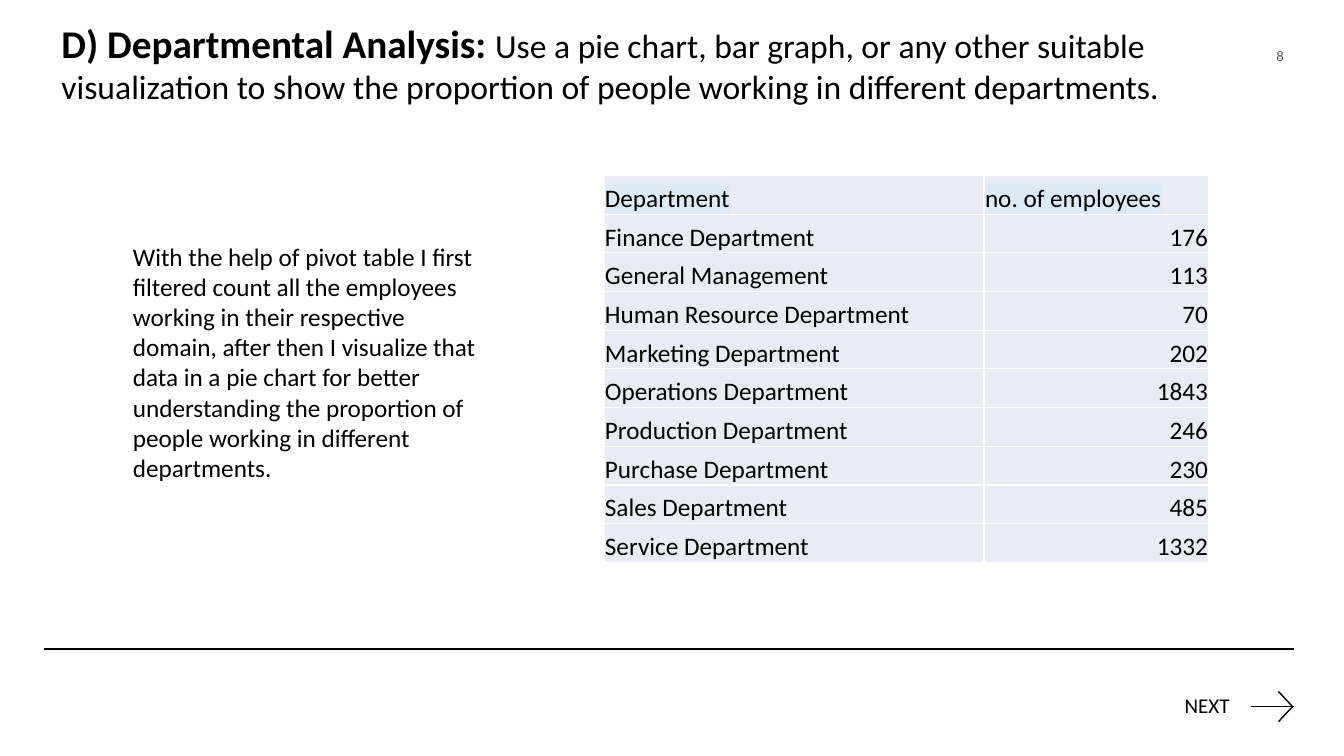
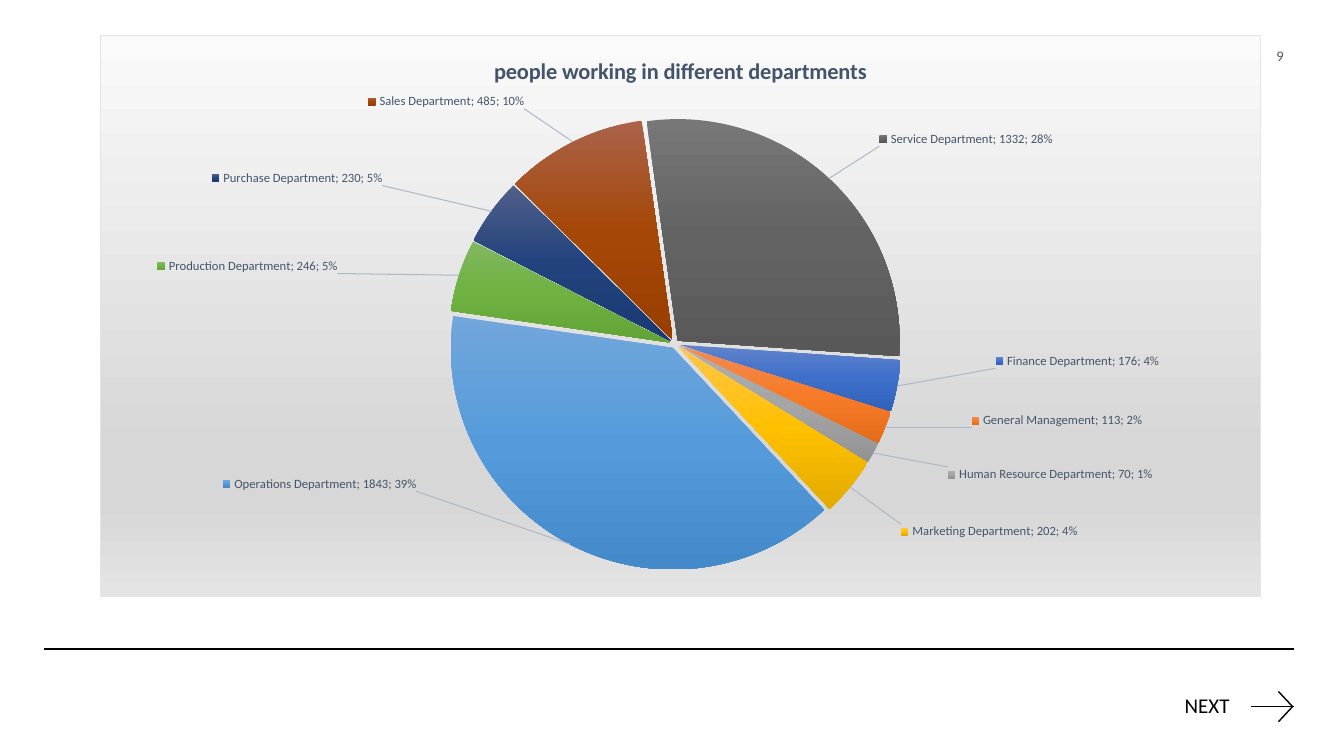
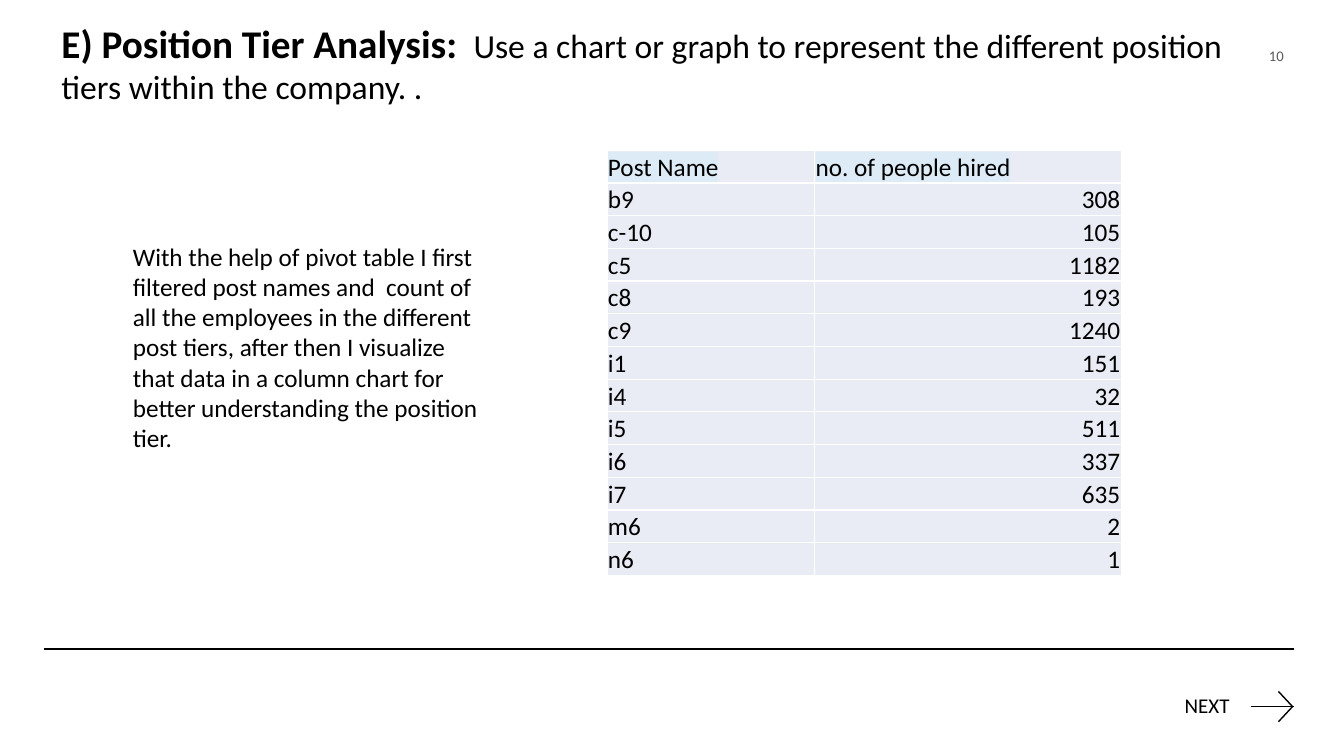
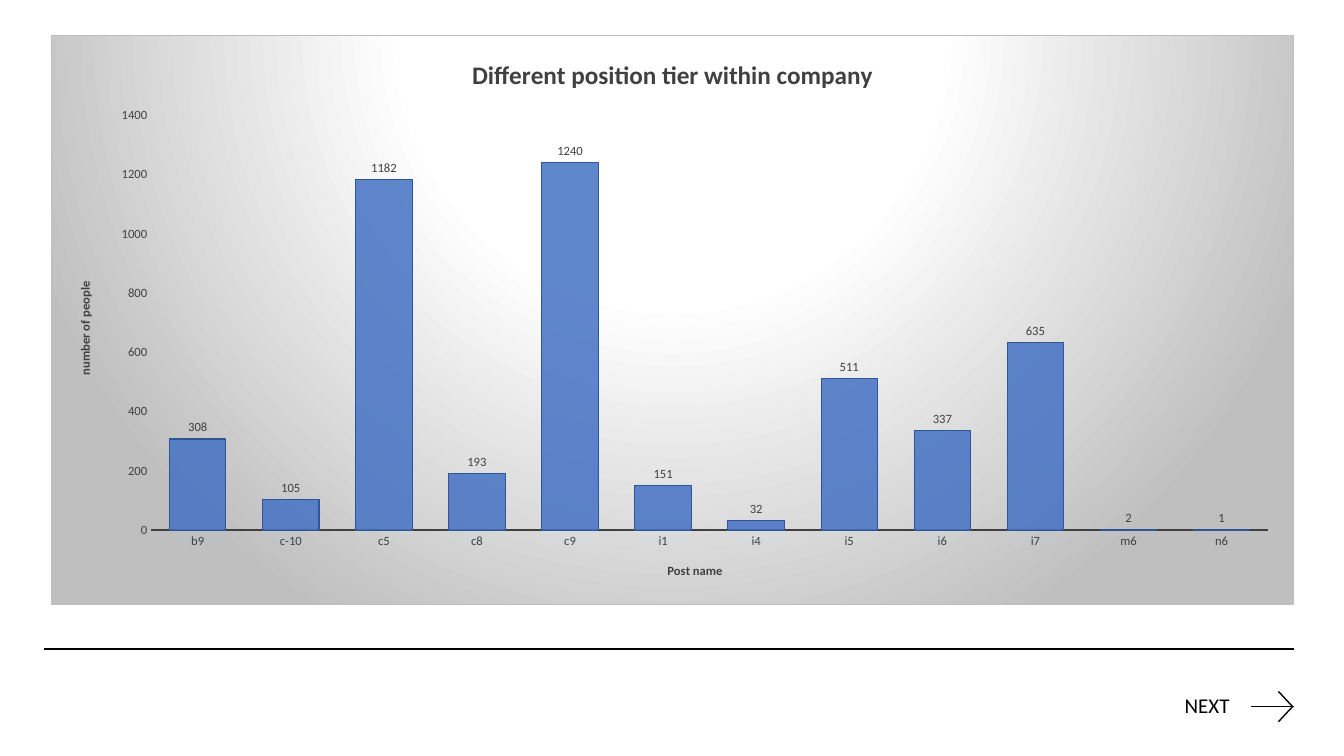
import pptx
import pptx.chart.data
import pptx.dml.color
import pptx.enum.chart
import pptx.enum.shapes
import pptx.enum.text
import pptx.oxml
import pptx.oxml.ns
import pptx.util

Inches = pptx.util.Inches
Pt = pptx.util.Pt
ALIGN = pptx.enum.text.PP_ALIGN
ANCHOR = pptx.enum.text.MSO_ANCHOR

FONT = "Calibri"
COLORS = {
    "ink": "000000", "number": "595959", "white": "FFFFFF",
    "cell": "E9EBF5", "highlight": "DDEBF7",
    "slate": "44546A", "leader": "ADB9CA", "pie_border": "E0E5EB",
    "charcoal": "404040", "bar": "4472C4", "bar_edge": "2F5597", "bar_border": "BFBFBF",
}

# Content: department, employees, slice gradient, label offset as a share of the chart
DEPARTMENTS = [
    ("Finance Department", 176, ("6183CB", "3E70CA", "3062BB"), (0.08, -0.06)),
    ("General Management", 113, ("F18C57", "F67B28", "E56C19"), (0.07, -0.03)),
    ("Human Resource Department", 70, ("AFAFAF", "A5A5A5", "939393"), (0.06, 0.02)),
    ("Marketing Department", 202, ("FFC64B", "FFC000", "E3AB00"), (0.04, 0.06)),
    ("Operations Department", 1843, ("71A6DB", "559BDB", "448ACA"), (-0.13, -0.13)),
    ("Production Department", 246, ("81B861", "6FB242", "62A336"), (-0.1, 0)),
    ("Purchase Department", 230, ("516089", "22427D", "1A3A72"), (-0.09, -0.04)),
    ("Sales Department", 485, ("AB634B", "A54707", "983E00"), (-0.04, -0.05)),
    ("Service Department", 1332, ("777777", "636363", "585858"), (0.04, -0.05)),
]
POSTS = [
    ("b9", 308), ("c-10", 105), ("c5", 1182), ("c8", 193), ("c9", 1240), ("i1", 151),
    ("i4", 32), ("i5", 511), ("i6", 337), ("i7", 635), ("m6", 2), ("n6", 1),
]


def rgb(name):
    return pptx.dml.color.RGBColor.from_string(COLORS[name])


def xml(tag, inner="", attributes=""):
    """Build one element in the drawing or chart namespace."""
    spaces = pptx.oxml.ns.nsdecls("a", "c")
    return pptx.oxml.parse_xml(f"<{tag} {spaces} {attributes}>{inner}</{tag}>")


def solid(name):
    return f'<a:solidFill><a:srgbClr val="{COLORS[name]}"/></a:solidFill>'


def gradient(stops, direction='<a:lin ang="5400000" scaled="0"/>'):
    marks = "".join(f'<a:gs pos="{place * 1000}"><a:srgbClr val="{color}"/></a:gs>'
                    for place, color in stops)
    return f'<a:gradFill rotWithShape="1"><a:gsLst>{marks}</a:gsLst>{direction}</a:gradFill>'


class Deck:
    """Holds the shared style and the slide being built."""

    def __init__(self):
        self.presentation = pptx.Presentation()
        self.presentation.slide_width = Inches(13.33)
        self.presentation.slide_height = Inches(7.5)
        self.slide = None

    def new_slide(self, number, heading=None, detail=""):
        layout = self.presentation.slide_layouts[5 if heading else 6]
        self.slide = self.presentation.slides.add_slide(layout)
        self.footer()
        if heading:
            self.title(heading, detail)
        self.text(str(number), 12.42, 0.35, 0.41, 0.4, 10.5, "number", ALIGN.RIGHT, ANCHOR.MIDDLE)

    def style(self, font, size, color="ink", bold=None):
        font.name, font.size, font.bold = FONT, Pt(size), bold
        font.color.rgb = rgb(color)

    def line(self, x1, y1, x2, y2):
        rule = self.slide.shapes.add_connector(
            pptx.enum.shapes.MSO_CONNECTOR.STRAIGHT,
            Inches(x1), Inches(y1), Inches(x2), Inches(y2))
        rule.line.color.rgb = rgb("ink")
        rule.line.width = Pt(1)
        rule._element.spPr.append(xml("a:effectLst"))

    def footer(self):
        self.line(0.44, 6.44, 12.83, 6.44)
        self.line(12.41, 7.01, 12.83, 7.01)
        for tip_y in (6.86, 7.16):
            self.line(12.68, tip_y, 12.82, 7.01)
        frame = self.text("NEXT", 11.71, 6.85, 0.83, 0.33, 15)
        frame.margin_left = frame.margin_right = Inches(0.04)
        frame.paragraphs[0].line_spacing = 0.9
        frame.paragraphs[0].space_before = Pt(6)

    def title(self, heading, detail):
        title = self.slide.shapes.title
        title.left, title.top = Inches(0.51), Inches(0.14)
        title.width, title.height = Inches(12.18), Inches(1.15)
        frame = title.text_frame
        frame.auto_size = pptx.enum.text.MSO_AUTO_SIZE.NONE
        frame.vertical_anchor = ANCHOR.TOP
        paragraph = frame.paragraphs[0]
        paragraph.alignment = ALIGN.LEFT
        for words, size, bold in ((heading, 28, True), (detail, 24, False)):
            run = paragraph.add_run()
            run.text = words
            self.style(run.font, size, bold=bold)

    def text(self, words, x, y, width, height, size=18, color="ink",
             align=ALIGN.LEFT, anchor=ANCHOR.TOP):
        box = self.slide.shapes.add_textbox(Inches(x), Inches(y), Inches(width), Inches(height))
        frame = box.text_frame
        frame.word_wrap = True
        frame.vertical_anchor = anchor
        frame.text = words
        frame.paragraphs[0].alignment = align
        self.style(frame.paragraphs[0].runs[0].font, size, color)
        return frame

    def table(self, header, records, x, y, widths, height):
        rows = [header, *records]
        table = self.slide.shapes.add_table(
            len(rows), len(widths), Inches(x), Inches(y),
            Inches(sum(widths)), Inches(height)).table
        table.first_row = table.horz_banding = False
        for column, width in zip(table.columns, widths):
            column.width = Inches(width)
        for r, values in enumerate(rows):
            table.rows[r].height = Inches(height / len(rows))
            for c, value in enumerate(values):
                self.cell(table.cell(r, c), value, is_header=r == 0)

    def cell(self, cell, value, is_header):
        cell.margin_left = cell.margin_right = cell.margin_top = Inches(0.01)
        cell.margin_bottom = 0
        cell.vertical_anchor = ANCHOR.BOTTOM
        cell.fill.solid()
        cell.fill.fore_color.rgb = rgb("cell")
        cell.text_frame.text = str(value)
        paragraph = cell.text_frame.paragraphs[0]
        paragraph.alignment = ALIGN.RIGHT if isinstance(value, int) else ALIGN.LEFT
        run = paragraph.runs[0]
        self.style(run.font, 18, bold=False)
        if is_header:
            mark = xml("a:highlight", f'<a:srgbClr val="{COLORS["highlight"]}"/>')
            run._r.rPr.find(pptx.oxml.ns.qn("a:solidFill")).addnext(mark)
        for place, side in enumerate(("lnL", "lnR", "lnT", "lnB")):
            cell._tc.tcPr.insert(place, xml(f"a:{side}", solid("white"), 'w="12700"'))

    def chart(self, kind, records, place, title, title_size, color, background, border, plot_box):
        data = pptx.chart.data.CategoryChartData()
        data.categories = [record[0] for record in records]
        data.add_series("Series 1", [record[1] for record in records])
        chart = self.slide.shapes.add_chart(kind, *map(Inches, place), data).chart
        self.style(chart.font, 10)
        chart.has_legend = False
        chart.has_title = True
        self.chart_title(chart.chart_title, title, title_size, color)
        chart.chart_title.include_in_layout = False

        # Background and border
        edge = f'<a:ln w="9525">{solid(border)}</a:ln>'
        chart._chartSpace.chart.addnext(xml("c:spPr", background + edge))

        # Inner plot area as shares of the chart
        parts = "".join(f'<c:{tag} val="{value}"/>' for tag, value in zip("xywh", plot_box))
        layout = xml("c:layout", '<c:manualLayout><c:layoutTarget val="inner"/>'
                     '<c:xMode val="edge"/><c:yMode val="edge"/>' + parts + "</c:manualLayout>")
        plot_area = chart._chartSpace.chart.plotArea
        for automatic in plot_area.findall(pptx.oxml.ns.qn("c:layout")):
            plot_area.remove(automatic)
        plot_area.insert(0, layout)
        return chart

    def chart_title(self, title, words, size, color):
        title.text_frame.text = words
        self.style(title.text_frame.paragraphs[0].runs[0].font, size, color, True)

    def pie(self, records, place, title):
        background = gradient([(0, "FAFAFA"), (74, "D7D7D7"), (83, "D7D7D7"), (100, "E4E4E4")])
        chart = self.chart(pptx.enum.chart.XL_CHART_TYPE.PIE, records, place, title, 16,
                           "slate", background, "pie_border", (0.3, 0.14, 0.39, 0.82))
        plot = chart.plots[0]
        series = plot.series[0]
        for i, record in enumerate(records):
            fill = series.points[i].format.fill
            fill._xPr.insert(0, xml("a:dummy", gradient(zip((0, 50, 100), record[2])))[0])

        # Start angle and the gap between slices
        pie = plot._element
        for angle in pie.findall(pptx.oxml.ns.qn("c:firstSliceAng")):
            pie.remove(angle)
        pie.append(xml("c:firstSliceAng", attributes='val="94"'))
        first_point = series._element.find(pptx.oxml.ns.qn("c:dPt"))
        first_point.addprevious(xml("c:explosion", attributes='val="2"'))

        # Labels with keys and leader lines
        shown = ("LegendKey", "Val", "CatName", "Percent")
        flags = "".join(f'<c:show{flag} val="{int(flag in shown)}"/>' for flag in
                        ("LegendKey", "Val", "CatName", "SerName", "Percent", "BubbleSize"))
        look = (f'<c:txPr><a:bodyPr/><a:p><a:pPr><a:defRPr sz="900">{solid("slate")}'
                f'<a:latin typeface="{FONT}"/></a:defRPr></a:pPr></a:p></c:txPr>'
                f'<c:dLblPos val="bestFit"/>{flags}<c:separator>; </c:separator>')
        labels = "".join(
            f'<c:dLbl><c:idx val="{i}"/><c:layout><c:manualLayout><c:x val="{dx}"/>'
            f'<c:y val="{dy}"/></c:manualLayout></c:layout>{look}</c:dLbl>'
            for i, (_, _, _, (dx, dy)) in enumerate(records))
        leaders = ('<c:showLeaderLines val="1"/><c:leaderLines><c:spPr><a:ln w="9525">'
                   f'{solid("leader")}</a:ln></c:spPr></c:leaderLines>')
        categories = series._element.find(pptx.oxml.ns.qn("c:cat"))
        categories.addprevious(xml("c:dLbls", labels + look + leaders))

    def columns(self, records, place, title, category_title, value_title):
        glow = ('<a:path path="circle"><a:fillToRect l="50000" t="-80000" r="50000" b="180000"/>'
                '</a:path>')
        background = gradient([(0, "FFFFFF"), (39, "FFFFFF"), (100, "BFBFBF")], glow)
        chart = self.chart(pptx.enum.chart.XL_CHART_TYPE.COLUMN_CLUSTERED, records, place, title,
                           18, "charcoal", background, "bar_border", (0.08, 0.14, 0.9, 0.73))
        plot = chart.plots[0]
        plot.gap_width = 65
        plot.vary_by_categories = False

        # Axes
        for axis, words in ((chart.category_axis, category_title), (chart.value_axis, value_title)):
            axis.has_major_gridlines = False
            axis.major_tick_mark = axis.minor_tick_mark = pptx.enum.chart.XL_TICK_MARK.NONE
            self.style(axis.tick_labels.font, 9, "charcoal")
            self.chart_title(axis.axis_title, words, 9, "charcoal")
        chart.category_axis.format.line.color.rgb = rgb("charcoal")
        chart.category_axis.format.line.width = Pt(1.5)
        chart.value_axis.format.line.fill.background()
        chart.value_axis.minimum_scale, chart.value_axis.maximum_scale = 0, 1400
        chart.value_axis.major_unit = 200

        # Bars and their labels
        bars = plot.series[0].format
        bars.fill.solid()
        bars.fill.fore_color.rgb = rgb("bar")
        bars.fill._xPr.solidFill[0].append(xml("a:alpha", attributes='val="85000"'))
        bars.line.color.rgb = rgb("bar_edge")
        bars.line.width = Pt(0.75)
        plot.has_data_labels = True
        labels = plot.data_labels
        labels.show_value = True
        labels.position = pptx.enum.chart.XL_LABEL_POSITION.OUTSIDE_END
        self.style(labels.font, 9, "charcoal")


def main():
    deck = Deck()

    # Departments: table
    deck.new_slide(8, "D) Departmental Analysis: ",
                   "Use a pie chart, bar graph, or any other suitable visualization to show "
                   "the proportion of people working in different departments.")
    deck.text("With the help of pivot table I first filtered count all the employees working in "
              "their respective domain, after then I visualize that data in a pie chart for better "
              "understanding the proportion of people working in different departments.",
              1.22, 2.34, 3.67, 2.83)
    deck.table(("Department", "no. of employees"), [record[:2] for record in DEPARTMENTS],
               5.99, 1.74, (3.77, 2.23), 3.84)

    # Departments: pie
    deck.new_slide(9)
    deck.pie(DEPARTMENTS, (0.99, 0.35, 11.52, 5.57), "people working in different departments")

    # Position tiers: table
    deck.new_slide(10, "E) Position Tier Analysis: ",
                   " Use a chart or graph to represent the different position tiers within "
                   "the company. .")
    deck.text("With the help of pivot table I first filtered post names and  count of  all the "
              "employees in the different post tiers, after then I visualize that data in a column "
              "chart for better understanding the position tier.", 1.22, 2.34, 3.67, 2.52)
    deck.table(("Post Name", "no. of people hired"), POSTS, 6.02, 1.49, (2.06, 3.04), 4.22)

    # Position tiers: columns; the chart covers the number's corner, so it shows none
    deck.new_slide(11)
    deck.columns(POSTS, (0.51, 0.35, 12.32, 5.65), "Different position tier within company",
                 "Post name", "number of people")

    deck.presentation.save("out.pptx")


if __name__ == "__main__":
    main()
